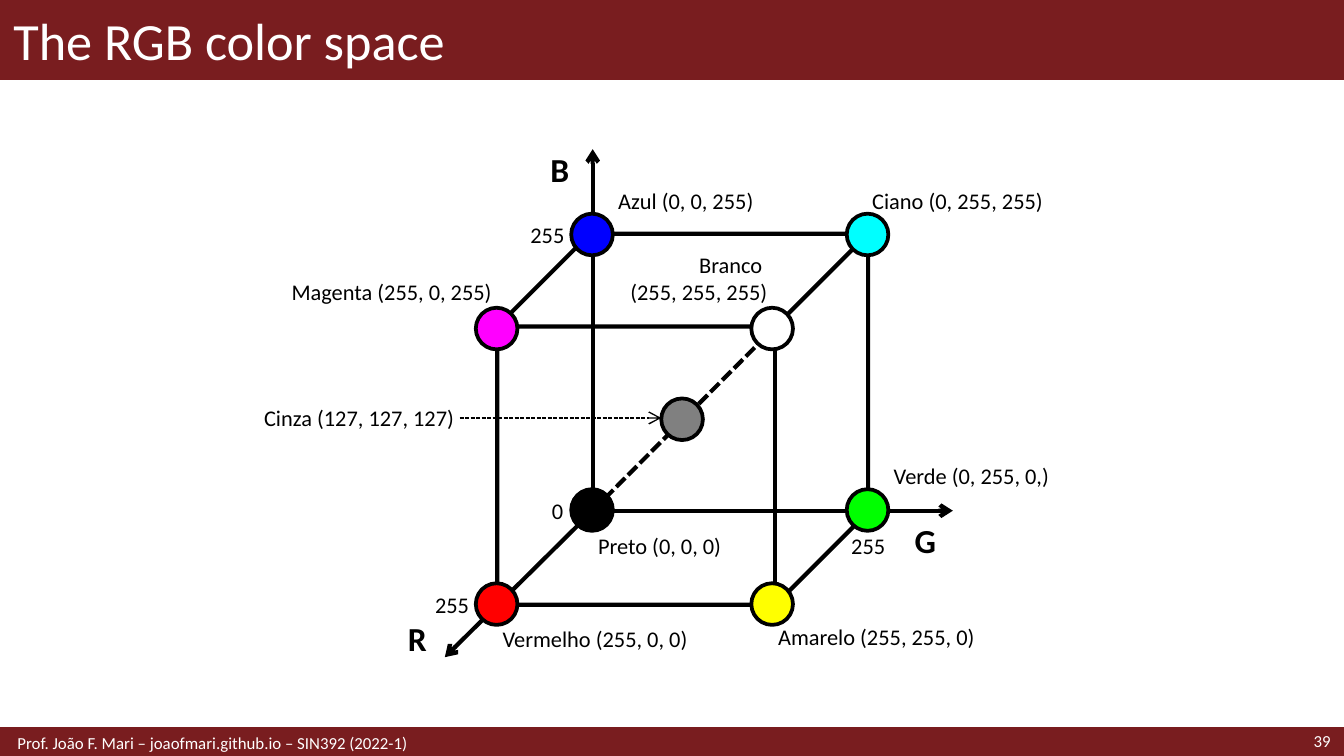
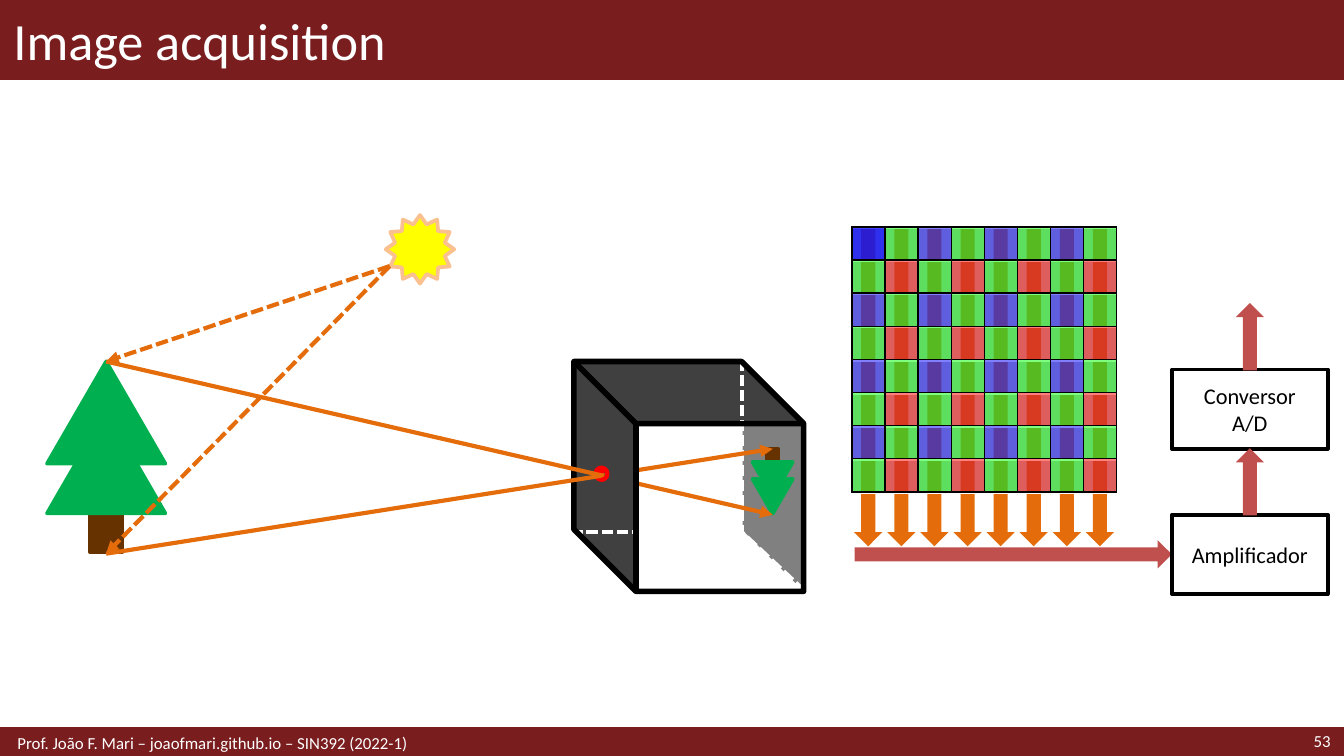
import dataclasses
import typing

import pptx
import pptx.dml.color
import pptx.enum.dml
import pptx.enum.shapes
import pptx.enum.text
import pptx.oxml.ns
import pptx.util
from lxml import etree

Inches = pptx.util.Inches
Kind = pptx.enum.shapes.MSO_SHAPE
qn = pptx.oxml.ns.qn

FONT = "Calibri"
BLACK, WHITE = "000000", "FFFFFF"
MAROON = "791D1F"
ORANGE = "E46C0A"
BRICK = "C0504D"
DARK_GRAY, GRAY = "404040", "808080"
BROWN, LEAF = "663300", "00B050"
RED, GREEN, BLUE = "FF0000", "00FF00", "0000FF"
WIDTH = 10
HEIGHT = WIDTH * 9 / 16
BAND_HEIGHT, FOOTER_TOP, FOOTER_HEIGHT = 0.59, 5.42, 0.21

ALIGNMENTS = {
    "l": pptx.enum.text.PP_ALIGN.LEFT,
    "c": pptx.enum.text.PP_ALIGN.CENTER,
    "r": pptx.enum.text.PP_ALIGN.RIGHT,
}
ANCHORS = {
    "t": pptx.enum.text.MSO_ANCHOR.TOP,
    "m": pptx.enum.text.MSO_ANCHOR.MIDDLE,
    "b": pptx.enum.text.MSO_ANCHOR.BOTTOM,
}


def rgb(color):
    return pptx.dml.color.RGBColor.from_string(color)


def write_text(shape, text, size=12, color=BLACK, bold=False, align="l",
               anchor="m", insets=(0.1, 0.05, 0.1, 0.05)):
    """Fill a shape with one paragraph; a vertical tab breaks the line."""
    frame = shape.text_frame
    frame.word_wrap = True
    frame.vertical_anchor = ANCHORS[anchor]
    (frame.margin_left, frame.margin_top,
     frame.margin_right, frame.margin_bottom) = map(Inches, insets)
    paragraph = frame.paragraphs[0]
    paragraph.text = text
    paragraph.alignment = ALIGNMENTS[align]
    for run in paragraph.runs:
        run.font.name = FONT
        run.font.size = pptx.util.Pt(size)
        run.font.bold = bold
        run.font.color.rgb = rgb(color)
    for line_break in shape.element.iter(qn("a:br")):
        etree.SubElement(line_break, qn("a:rPr"), sz=str(size * 100))


def style_line(line, color, weight, dashed):
    line.color.rgb = rgb(color)
    line.width = pptx.util.Pt(weight)
    if dashed:
        line.dash_style = pptx.enum.dml.MSO_LINE.SQUARE_DOT


@dataclasses.dataclass
class Region:
    """A shape collection whose parts are placed relative to (left, top)."""
    shapes: typing.Any
    left: float = 0
    top: float = 0

    def box(self, left, top, width, height):
        return [Inches(value) for value in
                (self.left + left, self.top + top, width, height)]

    def inner(self, left, top):
        return Region(self.shapes, self.left + left, self.top + top)

    def shape(self, kind, left, top, width, height, fill=None, line=None, weight=2,
              dashed=False, rotation=0, flip="", adjustments=()):
        shape = self.shapes.add_shape(kind, *self.box(left, top, width, height))
        shape.shadow.inherit = False
        shape.rotation = rotation
        for index, value in enumerate(adjustments):
            shape.adjustments[index] = value
        for direction in flip:
            transform = shape.element.spPr.find(qn("a:xfrm"))
            transform.set("flip" + direction.upper(), "1")
        if fill:
            shape.fill.solid()
            shape.fill.fore_color.rgb = rgb(fill)
        else:
            shape.fill.background()
        if line:
            style_line(shape.line, line, weight, dashed)
        else:
            shape.line.fill.background()
        return shape

    def line(self, start, end, color=BLACK, weight=2.25, dashed=False, head=None):
        ends = [Inches(value) for x, y in (start, end)
                for value in (self.left + x, self.top + y)]
        connector = self.shapes.add_connector(
            pptx.enum.shapes.MSO_CONNECTOR.STRAIGHT, *ends)
        style_line(connector.line, color, weight, dashed)
        properties = connector.element.spPr
        if head:
            etree.SubElement(properties.find(qn("a:ln")), qn("a:tailEnd"), type=head)
        etree.SubElement(properties, qn("a:effectLst"))

    def text(self, text, left, top, width, height=0.29, **text_format):
        box = self.shapes.add_textbox(*self.box(left, top, width, height))
        write_text(box, text, **text_format)

    def grid(self, left, top, cell_size, count, border, cell_fill):
        """Add a square table; cell_fill(row, column) gives colour and opacity."""
        side = cell_size * count
        table = self.shapes.add_table(
            count, count, *self.box(left, top, side, side)).table
        table.first_row = table.horz_banding = False
        for index in range(count):
            table.columns[index].width = table.rows[index].height = Inches(cell_size)
        for row in range(count):
            for column in range(count):
                style_cell(table.cell(row, column), border, *cell_fill(row, column))


def style_cell(cell, border, color, opacity):
    cell.margin_left = cell.margin_right = cell.margin_top = cell.margin_bottom = 0
    paragraph = cell.text_frame.paragraphs[0]
    etree.SubElement(paragraph._p, qn("a:endParaRPr"), sz="600")
    cell.fill.solid()
    cell.fill.fore_color.rgb = rgb(color)
    properties = cell._tc.tcPr
    fill_color = properties.find(f".//{qn('a:srgbClr')}")
    etree.SubElement(fill_color, qn("a:alpha"), val=str(opacity * 1000))
    for index, side in enumerate("LRTB"):
        edge = etree.Element(qn(f"a:ln{side}"), w=str(pptx.util.Pt(1)))
        solid = etree.SubElement(edge, qn("a:solidFill"))
        etree.SubElement(solid, qn("a:srgbClr"), val=border)
        properties.insert(index, edge)


def add_bands(slide):
    """Draw the title and footer bands and move them into the slide's layout."""
    region = Region(slide.shapes)
    bands = [(0, BAND_HEIGHT, 1), (FOOTER_TOP, FOOTER_HEIGHT, 2)]
    for index, (top, height, weight) in enumerate(bands):
        band = region.shape(Kind.RECTANGLE, 0, top, WIDTH, height,
                            MAROON, MAROON, weight)
        slide.slide_layout.shapes.element.insert(2 + index, band.element)


def add_slide(presentation, title, number):
    slide = presentation.slides.add_slide(presentation.slide_layouts[5])
    heading = slide.shapes.title
    region = Region(slide.shapes)
    heading.left, heading.top, heading.width, heading.height = region.box(
        0, 0, WIDTH, BAND_HEIGHT)
    write_text(heading, title, size=28, color=WHITE)
    region.text(number, 8.86, 5.41, 1.14, FOOTER_HEIGHT,
                size=9, color=WHITE, align="r")
    region.text("Prof. João F. Mari – joaofmari.github.io – SIN392 (2022-1)",
                0, FOOTER_TOP, 6.89, FOOTER_HEIGHT, size=9, color=WHITE,
                insets=(0.13, 0.05, 0.1, 0.05))
    return slide


def draw_rgb_cube(region):
    def vertex(red, green, blue):
        return 2.56 + 2.05 * green - 0.71 * red, 2.69 - 2.05 * blue + 0.7 * red

    def add_color(*channels):
        x, y = vertex(*channels)
        color = "".join(f"{round(255 * channel):02X}" for channel in channels)
        region.shape(Kind.OVAL, x - 0.16, y - 0.16, 0.31, 0.31, color, BLACK)

    origin = vertex(0, 0, 0)
    for axis_end in ((5.24, 2.69), (1.46, 3.78), (2.56, 0)):
        region.line(origin, axis_end, head="arrow")
    for name, left, top in (("R", 1.06, 3.49), ("G", 4.84, 2.76), ("B", 2.12, 0)):
        region.text(name, left, top, 0.39, size=18, bold=True, align="c")

    narrow = (0.04, 0, 0.04, 0)
    for value, left, top, width, height, align in (
        ("0", 2.17, 2.54, 0.21, 0.29, "r"),
        ("255", 2.01, 0.49, 0.38, 0.29, "r"),
        ("255", 1.3, 3.24, 0.38, 0.29, "r"),
        ("255", 4.42, 2.85, 0.38, 0.2, "c"),
    ):
        region.text(value, left, top, width, height, align=align, insets=narrow)

    region.shape(Kind.CUBE, 1.85, 0.63, 2.76, 2.76, line=BLACK, weight=2.25)
    region.line(origin, vertex(1, 1, 1), dashed=True)
    for red in (0, 1):
        for green in (0, 1):
            for blue in (0, 1):
                add_color(red, green, blue)
    add_color(0.5, 0.5, 0.5)

    for name, left, top, width, align, anchor in (
        ("Azul (0, 0, 255)", 2.71, 0.19, 1.18, "l", "b"),
        ("Ciano (0, 255, 255)", 4.6, 0.19, 1.57, "l", "b"),
        ("Magenta (255, 0, 255)", 0.25, 0.87, 1.6, "r", "b"),
        ("Branco \v(255, 255, 255)", 2.52, 0.87, 1.38, "r", "b"),
        ("Vermelho (255, 0, 0)", 1.85, 3.54, 1.73, "l", "t"),
        ("Amarelo (255, 255, 0)", 3.9, 3.53, 1.73, "l", "t"),
        ("Verde (0, 255, 0,)", 4.76, 2.24, 1.73, "l", "b"),
        ("Preto (0, 0, 0)", 2.56, 2.85, 1.57, "l", "t"),
        ("Cinza (127, 127, 127)", 0, 1.85, 1.57, "r", "m"),
    ):
        region.text(name, left, top, width, align=align, anchor=anchor, insets=narrow)
    region.line((1.57, 2), (3.07, 2), weight=0.75, dashed=True, head="arrow")


def draw_tree(region, scale=1.0, upside_down=False):
    tree_height = 1.42
    for kind, left, top, width, height, color in (
        (Kind.RECTANGLE, 0.32, 1, 0.24, 0.42, BROWN),
        (Kind.ISOSCELES_TRIANGLE, 0, 0, 0.88, 0.76, LEAF),
        (Kind.ISOSCELES_TRIANGLE, 0, 0.37, 0.88, 0.76, LEAF),
    ):
        if upside_down:
            top = tree_height - top - height
        box = [scale * value for value in (left, top, width, height)]
        region.shape(kind, *box, color, color, flip="hv" if upside_down else "")


def draw_camera(region):
    side, depth, wall_shift = 1.71, 0.46, 0.63
    for left, top, color, turn in (
        (wall_shift, wall_shift, GRAY, {"rotation": 90}),
        (-wall_shift, wall_shift, DARK_GRAY, {"rotation": 90}),
        (0, 0, DARK_GRAY, {"flip": "h"}),
    ):
        region.shape(Kind.PARALLELOGRAM, left, top, side, depth, color,
                     adjustments=[1], **turn)
    draw_tree(region.inner(1.33, 0.65), scale=0.34, upside_down=True)
    region.shape(Kind.RECTANGLE, 0, 0, 1.25, 1.27, line=WHITE, dashed=True)
    region.line((1.72, side), (1.25, 1.27), WHITE, dashed=True)
    region.shape(Kind.CUBE, 0, 0, side, side, line=BLACK, weight=3,
                 flip="h", adjustments=[0.27])
    region.shape(Kind.OVAL, 0.16, 0.79, 0.09, 0.09, RED, RED, weight=2.25)


def draw_rays(region):
    sun, tree_top, tree_base = (2.55, 0.38), (0.44, 1.09), (0.44, 2.52)
    region.shape(Kind.STAR_12_POINT, 2.52, 0, 0.51, 0.51, "FFFF00", "FAC090")
    for start, end, dashed in (
        (sun, tree_top, True),
        (sun, tree_base, True),
        (tree_top, (5.4, 2.23), False),
        (tree_base, (5.4, 1.74), False),
    ):
        region.line(start, end, ORANGE, dashed=dashed, head="triangle")


def draw_camera_wall(region):
    """Hide the rays behind the side wall and redraw the rim of the pinhole."""
    region.shape(Kind.RECTANGLE, 0.23, 0.51, 0.23, 0.71, DARK_GRAY)
    region.line((0.46, 0.46), (0.46, 1.71), weight=3)
    region.shape(Kind.ARC, 0.16, 0.79, 0.09, 0.09, line=RED, weight=2.25,
                 adjustments=[162.74, 52.87])


def draw_scene(region):
    camera = region.inner(3.92, 1.09)
    draw_camera(camera)
    draw_tree(region.inner(0, 1.09))
    draw_rays(region)
    draw_camera_wall(camera)


def draw_sensor(region):
    count = 8
    cell_size = 1.97 / count
    arrow = (2.36, 0.21)

    def bayer_fill(row, column):
        if (row + column) % 2:
            return GREEN, 50
        return (RED if row % 2 else BLUE), (75 if row + column == 0 else 50)

    for column in range(count):
        region.shape(Kind.RIGHT_ARROW, column * cell_size - 1.06, 1.09, *arrow,
                     ORANGE, rotation=90)
    region.grid(0, 0.01, cell_size, count, WHITE, lambda row, column: ("7F7F7F", 50))
    region.shape(Kind.RIGHT_ARROW, 0.02, 2.33, *arrow, BRICK)
    for name, top in (("Conversor A/D", 1.06), ("Amplificador", 2.14)):
        stage = region.shape(Kind.RECTANGLE, 2.38, top, 1.16, 0.59, WHITE, BLACK)
        write_text(stage, name, align="c")
        region.shape(Kind.RIGHT_ARROW, 2.71, top - 0.35, 0.5, 0.21, BRICK, rotation=270)
    region.grid(0, 0, cell_size, count, BLACK, bayer_fill)


def main():
    presentation = pptx.Presentation()
    presentation.slide_width = Inches(WIDTH)
    presentation.slide_height = Inches(HEIGHT)

    color_slide = add_slide(presentation, "The RGB color space", "39")
    add_bands(color_slide)
    draw_rgb_cube(Region(color_slide.shapes, 1.85, 1.11))

    acquisition_slide = add_slide(presentation, "Image acquisition", "53")
    draw_sensor(Region(acquisition_slide.shapes, 6.34, 1.69))
    scene = acquisition_slide.shapes.add_group_shape()
    draw_scene(Region(scene.shapes, 0.35, 1.6))

    presentation.save("out.pptx")


if __name__ == "__main__":
    main()
